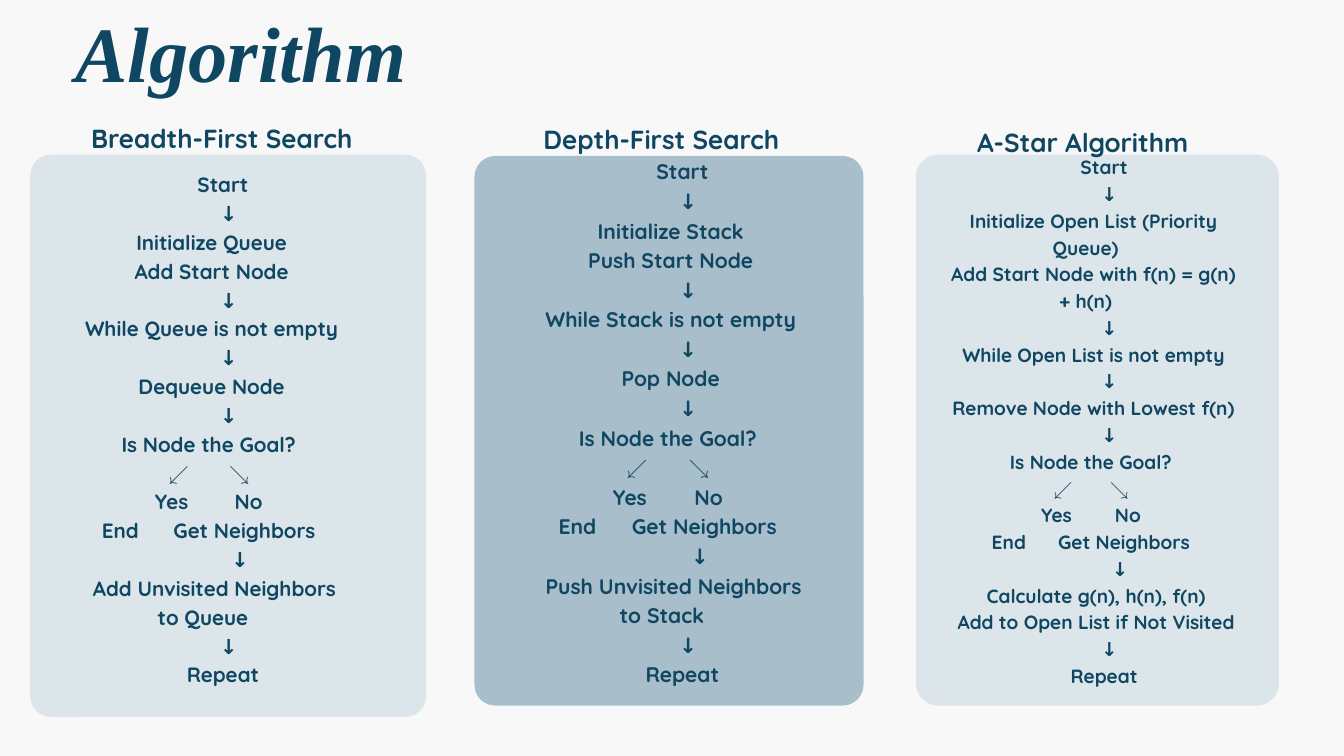
import pptx
import pptx.dml.color
import pptx.enum.shapes
import pptx.enum.text
import pptx.oxml
import pptx.oxml.ns
import pptx.util

Inches, Pt = pptx.util.Inches, pptx.util.Pt
RGB = pptx.dml.color.RGBColor.from_string
ALIGN = pptx.enum.text.PP_ALIGN

COLORS = {"page": "F8F8F8", "ink": "0F4662", "light": "DBE5EA", "mid": "A9BECB"}
SPACE = 0.277  # width of a space, in ems

ARROW = ("↓", 9)
# Steps are (text, first-line shift in spaces); a branch is
# (left, right, left centre, right centre), in ems from the middle of the box.
GOAL_CHECK = [
    ("Is Node the Goal?", 2),
    ("↙", "↘", -1.18, 1.77),
    ("Yes", "No", -1.52, 2.21),
    ("End", "Get Neighbors", -4.01, 2.01),
    ("↓", 13),
]

COLUMNS = [
    {
        "heading": "Breadth-First Search", "heading_box": (0.45, 1.74, 5.7, 0.5),
        "card": (0.45, 2.3, 5.89, 8.37), "radius": 0.31, "fill": "light",
        "flow_box": (0.93, 2.5, 4.18, 7.66), "size": 22.1, "leading": 30.9,
        "setup": ["Initialize Queue", "Add Start Node"],
        "loop": "While Queue is not empty", "take": "Dequeue Node",
        "expand": ["Add Unvisited Neighbors to Queue"],
    },
    {
        "heading": "Depth-First Search", "heading_box": (7.88, 1.76, 3.92, 0.54),
        "card": (7.06, 2.32, 5.79, 8.18), "radius": 0.31, "fill": "mid",
        "flow_box": (7.61, 2.3, 4.48, 7.87), "size": 22.6, "leading": 31.7,
        "setup": ["Initialize Stack", "Push Start Node"],
        "loop": "While Stack is not empty", "take": "Pop Node",
        "expand": ["Push Unvisited Neighbors to Stack"],
    },
    {
        "heading": "A-Star Algorithm", "heading_box": (13.74, 1.8, 4.74, 0.5),
        "card": (13.63, 2.3, 5.4, 8.2), "radius": 0.33, "fill": "light",
        "flow_box": (13.91, 2.26, 4.49, 7.91), "size": 20.5, "leading": 28.7,
        "setup": ["Initialize Open List (Priority Queue)",
                  "Add Start Node with f(n) = g(n) + h(n)"],
        "loop": "While Open List is not empty", "take": "Remove Node with Lowest f(n)",
        "expand": ["Calculate g(n), h(n), f(n)", "Add to Open List if Not Visited"],
    },
]

prs = pptx.Presentation()
prs.slide_width, prs.slide_height = Inches(20), Inches(11.25)
s = prs.slides.add_slide(prs.slide_layouts[6])
s.background.fill.solid()
s.background.fill.fore_color.rgb = RGB(COLORS["page"])


def add_text_frame(box):
    tf = s.shapes.add_textbox(*map(Inches, box)).text_frame
    frame_format = {"margin_left": 0, "margin_right": 0, "margin_top": 0,
                    "margin_bottom": 0, "word_wrap": True,
                    "auto_size": pptx.enum.text.MSO_AUTO_SIZE.SHAPE_TO_FIT_TEXT}
    for name, value in frame_format.items():
        setattr(tf, name, value)
    return tf


def write(p, text, size, leading, align=ALIGN.CENTER, font="Quicksand", italic=False):
    p.alignment, p.line_spacing = align, Pt(leading)
    r = p.add_run()
    r.text = text
    run_format = {"size": Pt(size), "name": font, "bold": True, "italic": italic}
    for name, value in run_format.items():
        setattr(r.font, name, value)
    r.font.color.rgb = RGB(COLORS["ink"])


tf = add_text_frame((1.12, -0.17, 12.62, 1.58))
write(tf.paragraphs[0], "Algorithm", 84, 117.6, ALIGN.LEFT, "Times New Roman", True)

for col in COLUMNS:
    left, top, width, height = col["card"]
    sp = s.shapes.add_shape(pptx.enum.shapes.MSO_SHAPE.ROUNDED_RECTANGLE,
                            *map(Inches, col["card"]))
    sp.adjustments[0] = col["radius"] / min(width, height)
    sp.shadow.inherit = False
    sp.fill.solid()
    sp.fill.fore_color.rgb = RGB(COLORS[col["fill"]])
    sp.line.fill.background()

    steps = [("Start", 7), ARROW, *[(text, 3) for text in col["setup"]],
             ARROW, (col["loop"], 3), ARROW, (col["take"], 3), ARROW, *GOAL_CHECK,
             *[(text, 4) for text in col["expand"]], ARROW, ("Repeat", 7)]
    tf = add_text_frame(col["flow_box"])
    em = col["size"] / 72
    middle = col["flow_box"][2] / 2
    for i, step in enumerate(steps):
        p = tf.add_paragraph() if i else tf.paragraphs[0]
        if len(step) == 2:
            text, spaces = step
            write(p, text, col["size"], col["leading"])
            p._p.get_or_add_pPr().set("indent", str(Inches(spaces * SPACE * em)))
        else:
            yes, no, *centres = step
            write(p, f"\t{yes}\t{no}", col["size"], col["leading"], ALIGN.LEFT)
            tabs = pptx.oxml.parse_xml(
                f"<a:tabLst {pptx.oxml.ns.nsdecls('a')}>"
                + "".join(f'<a:tab pos="{Inches(middle + c * em)}" algn="ctr"/>'
                          for c in centres)
                + "</a:tabLst>")
            p._p.get_or_add_pPr().append(tabs)

for col in COLUMNS:
    tf = add_text_frame(col["heading_box"])
    write(tf.paragraphs[0], col["heading"], 28, 39.2)

prs.save("out.pptx")
